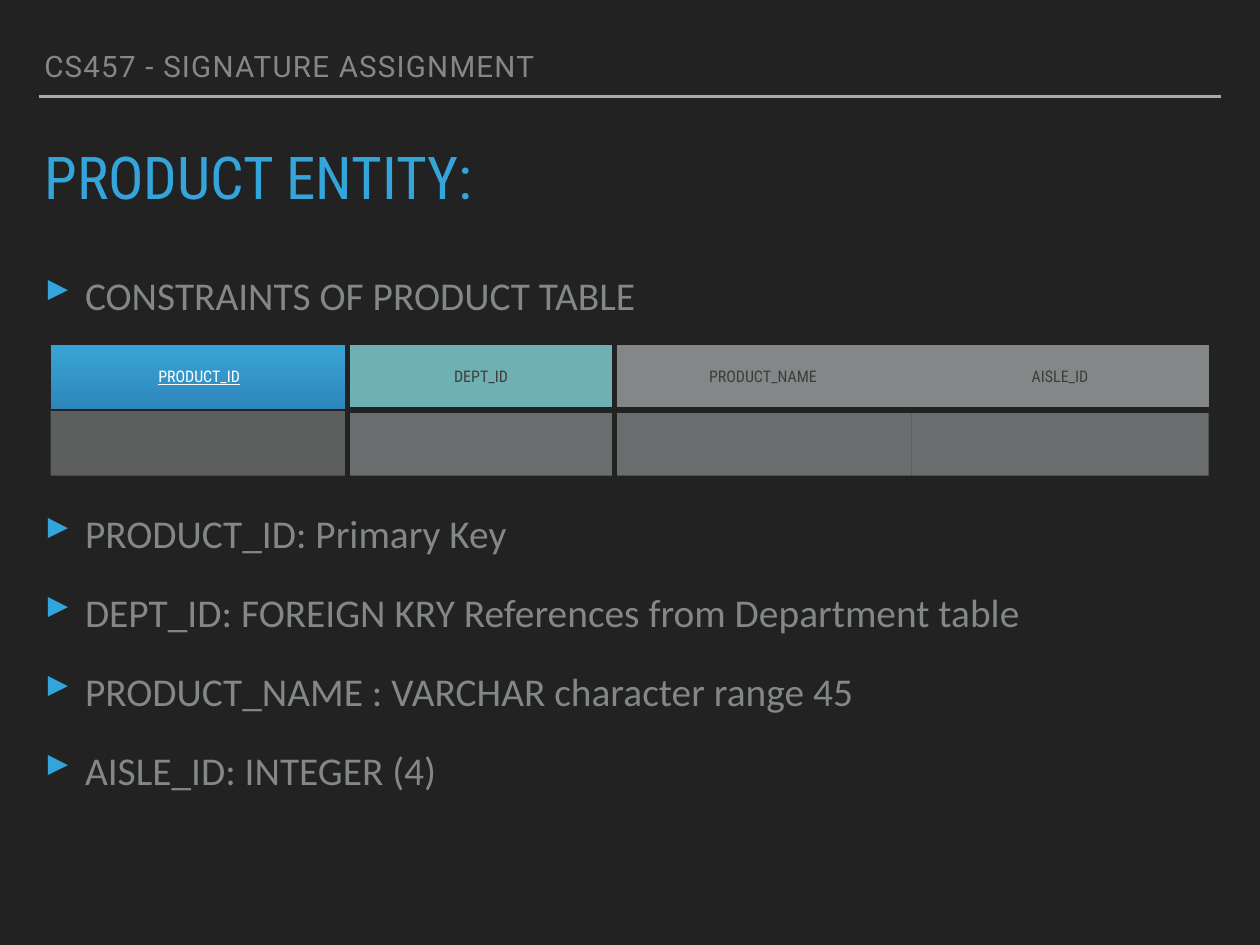
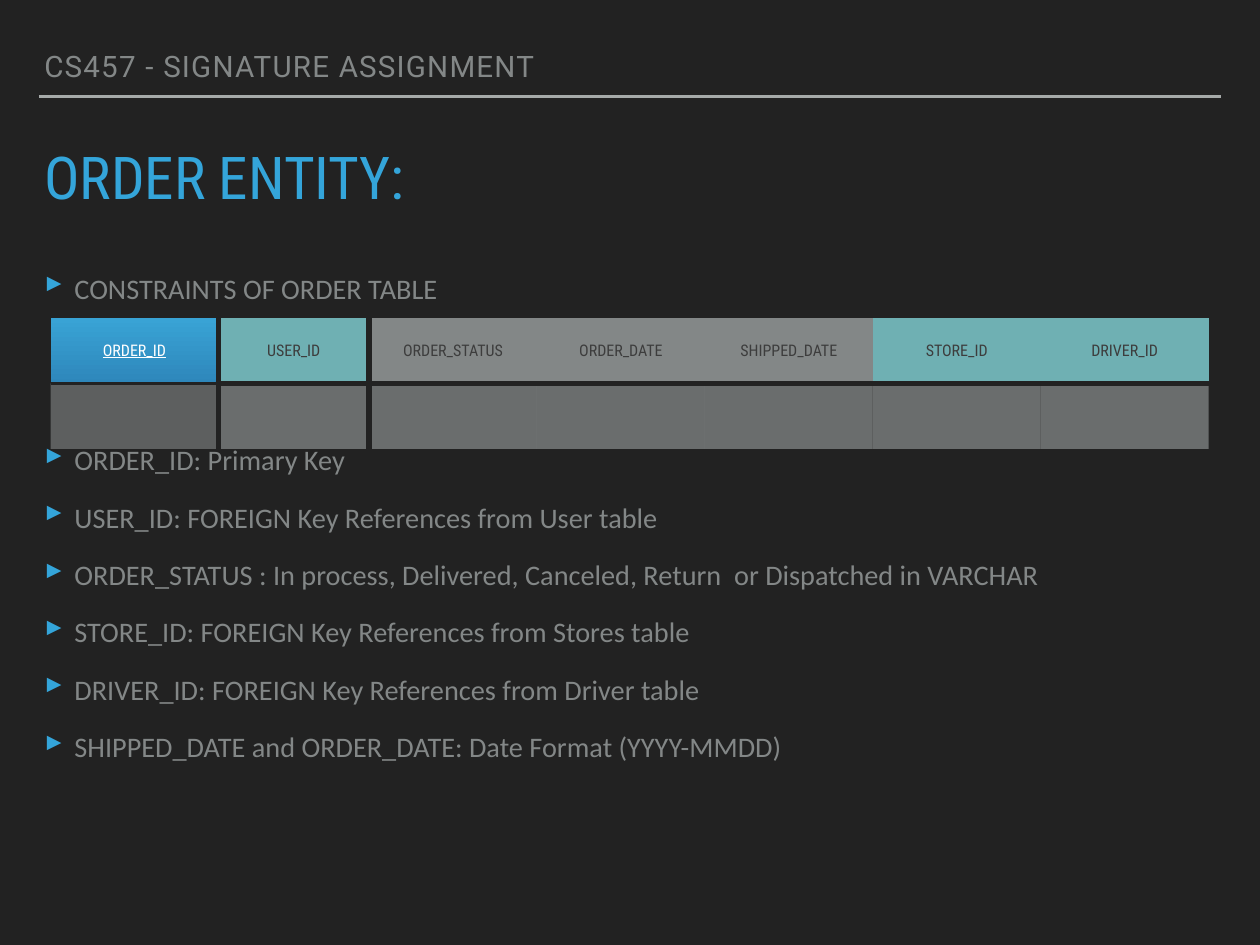
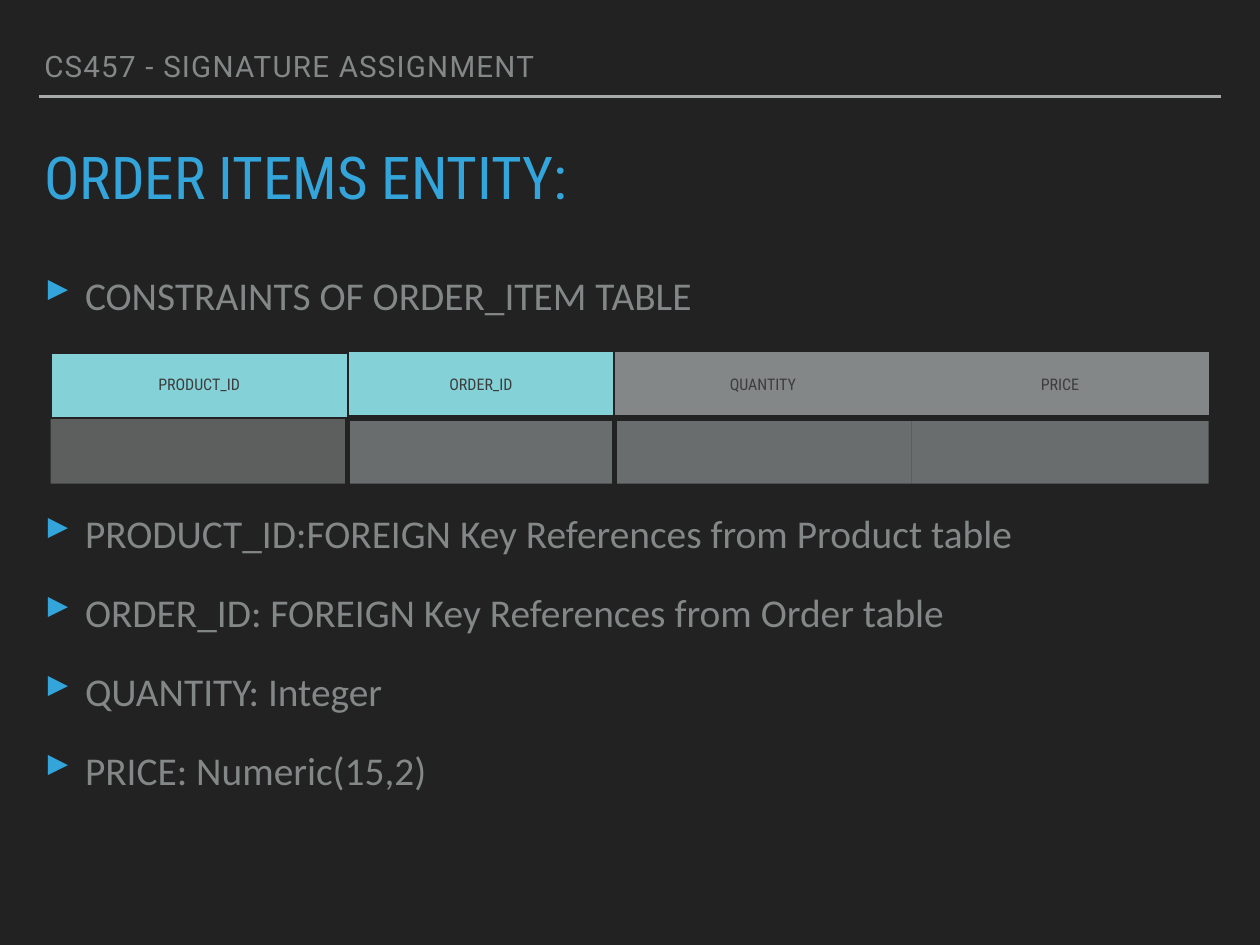
"""Build three entity slides, each with a schema table and its constraints."""
from lxml import etree
from pptx import Presentation
from pptx.dml.color import RGBColor
from pptx.enum.shapes import MSO_CONNECTOR
from pptx.enum.text import MSO_ANCHOR, MSO_AUTO_SIZE, PP_ALIGN
from pptx.oxml import parse_xml
from pptx.oxml.ns import nsdecls, qn
from pptx.util import Inches, Pt

rgb = RGBColor.from_string
BACKGROUND, ACCENT, GREY = "222222", "34A5DA", "838787"
RULE, DARK, WHITE, KEY_BODY = "A6AAA9", "3D3D3D", "FFFFFF", "686A6A"
KEY_GRADIENT = ("39A3D5", "2E87BB")
TEAL, LIGHT_TEAL = "6FB0B3", "84D2D7"
CONDENSED = "Roboto Condensed"
NO_STYLE = "{2D5ABB26-0587-4C30-8999-92F81FD0307C}"
LEFT, MARGIN, TABLE_WIDTH, ROW_HEIGHT = 0.44, 0.06, 13.07, 0.74
THIN, THICK = 2, 5
LARGE = {"size": 32, "before": 26, "gap": 155, "indent": 0.46}
SMALL = {"size": 23, "before": 19, "gap": 112, "indent": 0.34}

ENTITIES = [
    {
        "title": "PRODUCT ENTITY:",
        "style": LARGE,
        "table_top": 3.89,
        "second_width": 3.01,
        "key_border": THICK,
        "columns": [("PRODUCT_ID", None), ("DEPT_ID", TEAL), ("PRODUCT_NAME", GREY), ("AISLE_ID", GREY)],
        "bullets": [
            "CONSTRAINTS OF PRODUCT TABLE",
            "PRODUCT_ID: Primary Key",
            "DEPT_ID: FOREIGN KRY References from Department table",
            "PRODUCT_NAME : VARCHAR character range 45",
            "AISLE_ID: INTEGER (4)",
        ],
    },
    {
        "title": "ORDER ENTITY:",
        "style": SMALL,
        "table_top": 3.59,
        "second_width": 1.7,
        "key_border": THICK,
        "columns": [
            ("ORDER_ID", None), ("USER_ID", TEAL), ("ORDER_STATUS", GREY), ("ORDER_DATE", GREY),
            ("SHIPPED_DATE", GREY), ("STORE_ID", TEAL), ("DRIVER_ID", TEAL),
        ],
        "bullets": [
            "CONSTRAINTS OF ORDER TABLE",
            "ORDER_ID: Primary Key",
            "USER_ID: FOREIGN Key References from User table",
            "ORDER_STATUS : In process, Delivered, Canceled, Return  or Dispatched in VARCHAR",
            "STORE_ID: FOREIGN Key References from Stores table",
            "DRIVER_ID: FOREIGN Key References from Driver table",
            "SHIPPED_DATE and ORDER_DATE: Date Format (YYYY-MMDD)",
        ],
    },
    {
        "title": "ORDER ITEMS ENTITY:",
        "style": LARGE,
        "table_top": 3.98,
        "second_width": 3.01,
        "key_border": THIN,
        "columns": [("PRODUCT_ID", LIGHT_TEAL), ("ORDER_ID", LIGHT_TEAL), ("QUANTITY", GREY), ("PRICE", GREY)],
        "bullets": [
            "CONSTRAINTS OF ORDER_ITEM TABLE",
            "PRODUCT_ID:FOREIGN Key References from Product table",
            "ORDER_ID: FOREIGN Key References from Order table",
            "QUANTITY: Integer",
            "PRICE: Numeric(15,2)",
        ],
    },
]


def add_run(paragraph, text, font, size, color):
    run = paragraph.add_run()
    run.text = text
    run.font.name, run.font.size = font, Pt(size)
    run.font.color.rgb = rgb(color)
    return run


def add_borders(cell, widths):
    properties = cell._tc.get_or_add_tcPr()
    sides = [side for side in "LRTB" if side in widths]
    for position, side in enumerate(sides):
        properties.insert(position, parse_xml(
            f'<a:ln{side} {nsdecls("a")} w="{Pt(widths[side])}"><a:solidFill>'
            f'<a:srgbClr val="{BACKGROUND}"/></a:solidFill></a:ln{side}>'))


presentation = Presentation()
presentation.slide_width, presentation.slide_height = Inches(14.22), Inches(10.67)
background = presentation.slide_master.background.fill
background.solid()
background.fore_color.rgb = rgb(BACKGROUND)

for entity in ENTITIES:
    slide = presentation.slides.add_slide(presentation.slide_layouts[5])
    rule = slide.shapes.add_connector(
        MSO_CONNECTOR.STRAIGHT, Inches(LEFT), Inches(1.09), Inches(13.78), Inches(1.09))
    rule.line.color.rgb, rule.line.width = rgb(RULE), Pt(2)
    etree.SubElement(rule._element.spPr, qn("a:effectLst"))

    header = slide.shapes.add_textbox(Inches(LEFT), Inches(0.5), Inches(12.22), Inches(0.5))
    body = slide.shapes.add_textbox(Inches(LEFT), Inches(3), Inches(13.33), Inches(6.68))
    title = slide.shapes.title
    title.left, title.top = Inches(LEFT), Inches(1.68)
    title.width, title.height = Inches(13.33), Inches(0.79)
    for shape, anchor in ((header, MSO_ANCHOR.BOTTOM), (title, MSO_ANCHOR.TOP), (body, MSO_ANCHOR.TOP)):
        frame = shape.text_frame
        frame.word_wrap, frame.auto_size = True, MSO_AUTO_SIZE.NONE
        frame.vertical_anchor = anchor
        frame.margin_left = frame.margin_right = Inches(MARGIN)
        frame.margin_top = frame.margin_bottom = Inches(MARGIN)

    paragraph = header.text_frame.paragraphs[0]
    paragraph.line_spacing = 0.8
    run = add_run(paragraph, "CS457 - SIGNATURE ASSIGNMENT", "Roboto", 24, GREY)
    run.font._element.set("spc", "100")

    paragraph = title.text_frame.paragraphs[0]
    paragraph.alignment, paragraph.line_spacing = PP_ALIGN.LEFT, 0.8
    paragraph.space_before = Pt(22)
    add_run(paragraph, entity["title"], CONDENSED, 48, ACCENT)

    style = entity["style"]
    for number, text in enumerate(entity["bullets"]):
        frame = body.text_frame
        paragraph = frame.add_paragraph() if number else frame.paragraphs[0]
        paragraph.space_before = Pt(style["gap"] if number == 1 else style["before"])
        properties = paragraph._p.get_or_add_pPr()
        properties.set("marL", str(Inches(style["indent"])))
        properties.set("indent", str(-Inches(style["indent"])))
        bullet_color = etree.SubElement(properties, qn("a:buClr"))
        etree.SubElement(bullet_color, qn("a:srgbClr"), val=ACCENT)
        etree.SubElement(properties, qn("a:buSzPct"), val="105000")
        etree.SubElement(properties, qn("a:buChar"), char="▸")
        add_run(paragraph, text, "Calibri", style["size"], GREY)

    columns = entity["columns"]
    table_shape = slide.shapes.add_table(
        2, len(columns), Inches(0.57), Inches(entity["table_top"]),
        Inches(TABLE_WIDTH), Inches(2 * ROW_HEIGHT))
    table = table_shape.table
    table.first_row = table.horz_banding = False
    table._tbl.tblPr.find(qn("a:tableStyleId")).text = NO_STYLE
    for row in table.rows:
        row.height = Inches(ROW_HEIGHT)

    shared_width = (TABLE_WIDTH - entity["second_width"]) / (len(columns) - 1)
    for index, (name, color) in enumerate(columns):
        table.columns[index].width = Inches(entity["second_width"] if index == 1 else shared_width)
        head, value = table.cell(0, index), table.cell(1, index)
        head.vertical_anchor = MSO_ANCHOR.MIDDLE
        head.margin_left = head.margin_right = Inches(MARGIN)
        head.margin_top = head.margin_bottom = Inches(MARGIN)
        paragraph = head.text_frame.paragraphs[0]
        paragraph.alignment = PP_ALIGN.CENTER
        run = add_run(paragraph, name, CONDENSED, 13, DARK if color else WHITE)
        if color:
            head.fill.solid()
            head.fill.fore_color.rgb = rgb(color)
        else:
            run.font.underline = True
            head.fill.gradient()
            head.fill.gradient_angle = 270
            for stop, stop_color in zip(head.fill.gradient_stops, KEY_GRADIENT):
                stop.color.rgb = rgb(stop_color)

        value.fill.solid()
        value.fill.fore_color.rgb = rgb(GREY if index else KEY_BODY)
        solid_color = value._tc.tcPr.find(".//" + qn("a:srgbClr"))
        etree.SubElement(solid_color, qn("a:alpha"), val="75000" if index else "85000")

        divider = THICK if index else THIN
        head_borders, value_borders = {"B": divider}, {"T": divider}
        if index == 0:
            head_borders["R"], value_borders["R"] = entity["key_border"], THICK
            if color:
                head_borders.update(L=THIN, T=THIN)
        elif index == 1:
            head_borders["L"], value_borders["L"] = entity["key_border"], THICK
        add_borders(head, head_borders)
        add_borders(value, value_borders)

presentation.save("out.pptx")
